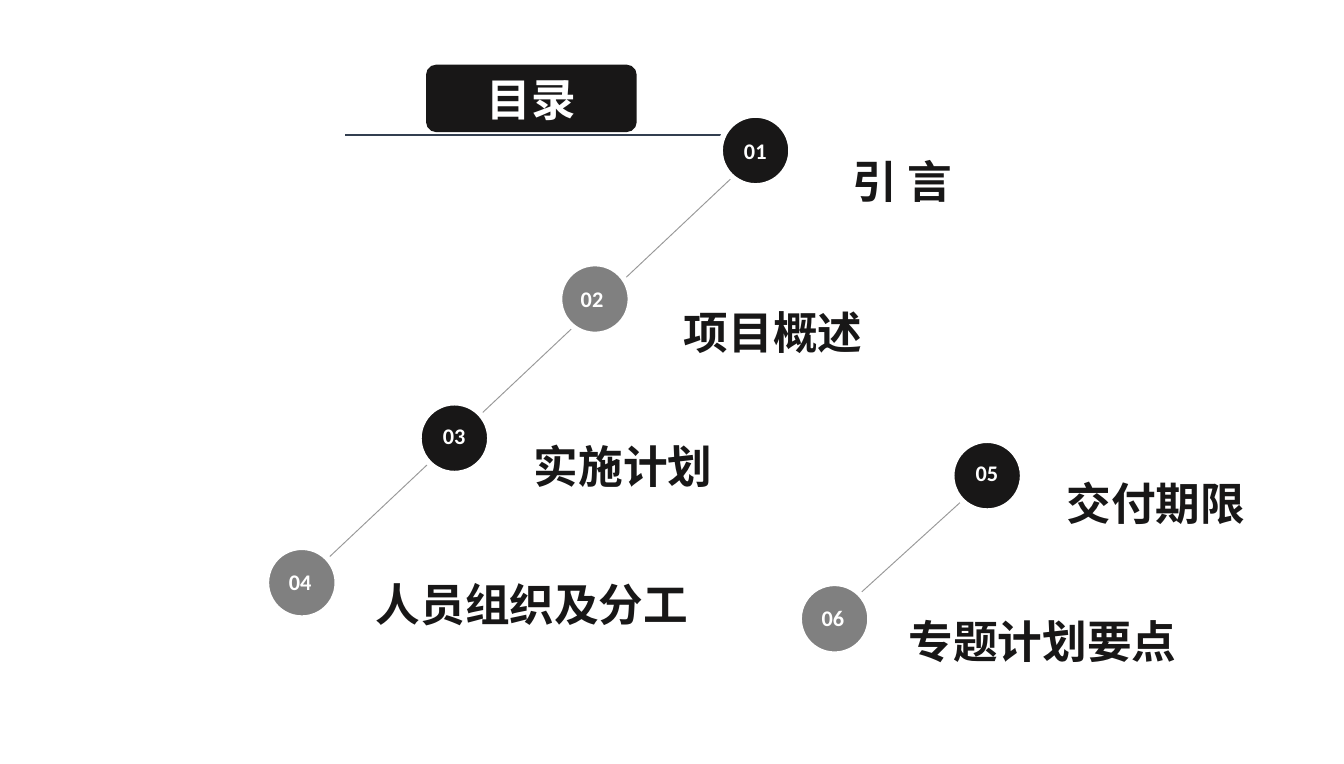
"""Build the contents slide: a title plate and two diagonal chains of numbered topics."""
import pptx
import pptx.util
import pptx.dml.color
import pptx.enum.shapes
import pptx.enum.text
import pptx.oxml.ns
import lxml.etree

TITLE = "目录"
# number, topic, circle (column, row), number box (column, row), topic box (column, row, width)
TOPICS = [
    ("01", "引 言", (53.8, 8.6), (54.6, 9.8), (62.7, 11.0, 9.8)),
    ("02", "项目概述", (41.8, 19.7), (42.4, 20.8), (50.1, 22.3, 15.5)),
    ("03", "实施计划", (31.3, 30.1), (32.1, 31.1), (38.9, 32.3, 15.5)),
    ("04", "人员组织及分工", (19.9, 40.9), (20.6, 42.0), (27.1, 42.6, 25.6)),
    ("05", "交付期限", (71.1, 32.9), (71.9, 33.8), (78.7, 35.1, 15.5)),
    ("06", "专题计划要点", (59.7, 43.6), (60.4, 44.7), (66.9, 45.4, 22.2)),
]
# start (column, row), end (column, row), colour, weight
LINES = [
    ((25.8, 10.1), (55.8, 10.1), "slate", 1),
    ((20.6, 45.4), (57.1, 11.0), "silver", 0.5),
    ((64.2, 44.4), (71.9, 37.4), "silver", 0.5),
]
COLORS = {"ink": "181717", "gray": "808080", "silver": "999999", "slate": "333F50", "white": "FFFFFF"}
CELL = pptx.util.Inches(0.1)
SLIDE_CELLS = (100.4, 57.1)
PLATE = (31.9, 4.9, 15.6, 4.9)
CIRCLE_SIZE = 5.3
NUMBER_SIZE = (3.7, 3.0)
TOPIC_HEIGHT = 5.0
HEADING = {"name": "Noto Sans CJK SC", "size": pptx.util.Pt(24), "bold": True}
NUMBER = {"name": "Calibri", "size": pptx.util.Pt(12), "bold": True}
MARGINS = ("margin_left", "margin_top", "margin_right", "margin_bottom")
SHAPES = pptx.enum.shapes.MSO_SHAPE
AUTO_SIZE = pptx.enum.text.MSO_AUTO_SIZE


def cells(*values):
    return [round(value * CELL) for value in values]


def rgb(name):
    return pptx.dml.color.RGBColor.from_string(COLORS[name])


def write(frame, text, style, color, auto_size):
    frame.word_wrap = False
    frame.auto_size = auto_size
    paragraph = frame.paragraphs[0]
    run = paragraph.add_run()
    run.text = text
    for name, value in style.items():
        setattr(run.font, name, value)
    run.font.color.rgb = rgb(color)
    east_asian = lxml.etree.Element(pptx.oxml.ns.qn("a:ea"), typeface=style["name"])
    run.font._element.find(pptx.oxml.ns.qn("a:latin")).addnext(east_asian)
    return paragraph


def add_label(slide, box, text, style, color):
    label = slide.shapes.add_textbox(*cells(*box))
    write(label.text_frame, text, style, color, AUTO_SIZE.SHAPE_TO_FIT_TEXT)


def add_shape(slide, kind, box, fill, line, weight):
    shape = slide.shapes.add_shape(kind, *cells(*box))
    shape.shadow.inherit = False
    shape.fill.solid()
    shape.fill.fore_color.rgb = rgb(fill)
    shape.line.color.rgb = rgb(line)
    shape.line.width = pptx.util.Pt(weight)
    return shape


def add_line(slide, start, end, color, weight):
    connector = slide.shapes.add_connector(
        pptx.enum.shapes.MSO_CONNECTOR.STRAIGHT, *cells(*start, *end))
    connector.line.color.rgb = rgb(color)
    connector.line.width = pptx.util.Pt(weight)
    properties = connector._element.spPr
    lxml.etree.SubElement(properties, pptx.oxml.ns.qn("a:effectLst"))


def add_title(slide):
    plate = add_shape(slide, SHAPES.ROUNDED_RECTANGLE, PLATE, "ink", "ink", 1)
    plate.adjustments[0] = 0.14
    title = slide.shapes.title
    for name, value in zip(("left", "top", "width", "height"), cells(*PLATE)):
        setattr(title, name, value)
    frame = title.text_frame
    for margin in MARGINS:
        setattr(frame, margin, 0)
    frame.vertical_anchor = pptx.enum.text.MSO_ANCHOR.MIDDLE
    paragraph = write(frame, TITLE, HEADING, "white", AUTO_SIZE.NONE)
    paragraph.alignment = pptx.enum.text.PP_ALIGN.CENTER
    plate._element.addnext(title._element)


def main():
    presentation = pptx.Presentation()
    presentation.slide_width, presentation.slide_height = cells(*SLIDE_CELLS)
    slide = presentation.slides.add_slide(presentation.slide_layouts[5])
    for line in LINES:
        add_line(slide, *line)
    add_title(slide)
    for index, (number, topic, circle, number_at, (column, row, width)) in enumerate(TOPICS):
        fill = ("ink", "gray")[index % 2]
        add_shape(slide, SHAPES.OVAL, (*circle, CIRCLE_SIZE, CIRCLE_SIZE), fill, "white", 3)
        add_label(slide, (*number_at, *NUMBER_SIZE), number, NUMBER, "white")
        add_label(slide, (column, row, width, TOPIC_HEIGHT), topic, HEADING, "ink")
    presentation.save("out.pptx")


if __name__ == "__main__":
    main()
